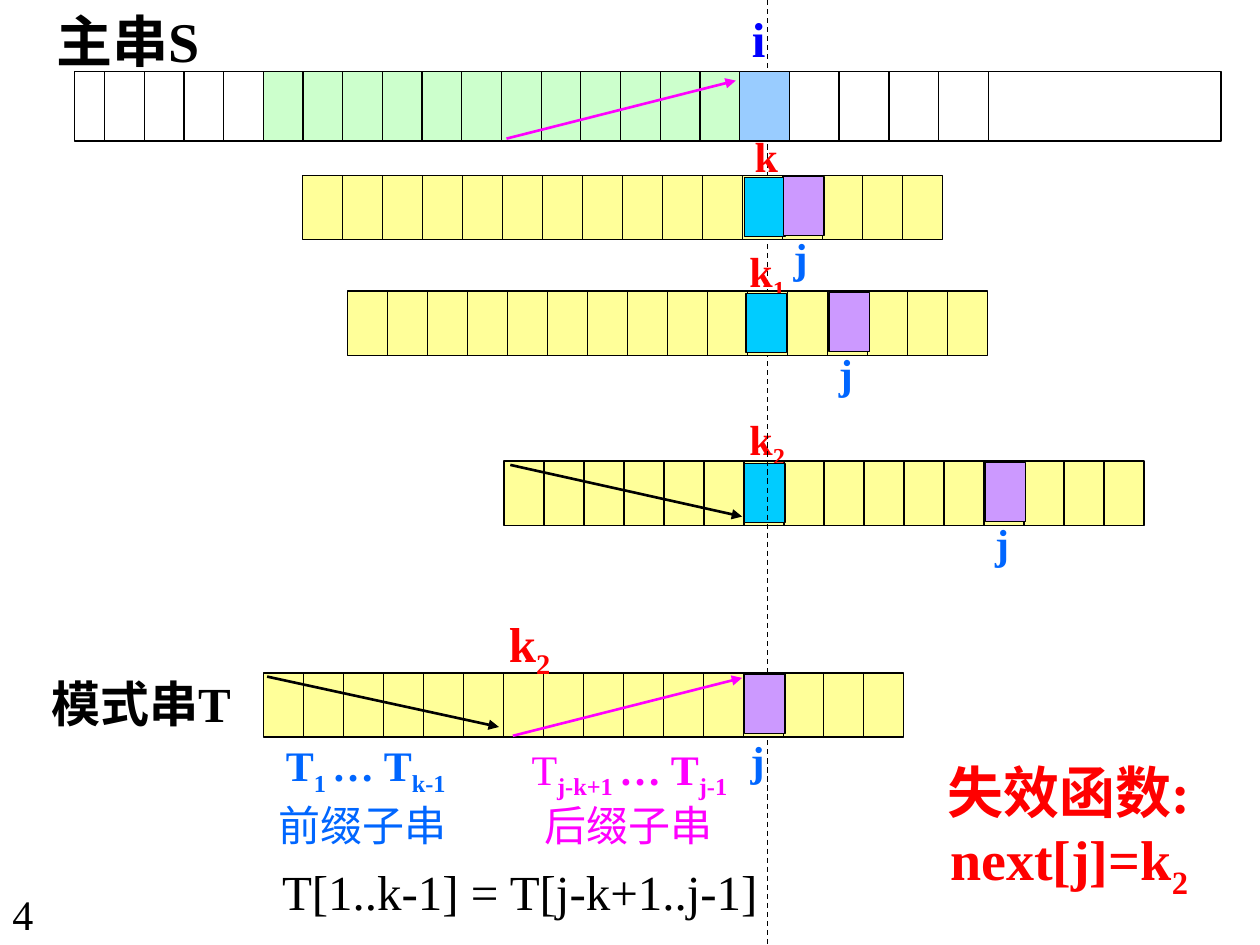
from lxml import etree
from pptx import Presentation
from pptx.dml.color import RGBColor
from pptx.enum import dml, shapes, text
from pptx.oxml import ns
from pptx.util import Inches, Pt

LATIN, CHINESE = "Times New Roman", "Noto Sans CJK SC"
BLACK, RED, BLUE, MAGENTA = "000000", "FF0000", "0066FF", "FF00FF"
YELLOW, CYAN, PURPLE = "FFFF99", "00CCFF", "CC99FF"
ROW_WIDTH, ROW_HEIGHT, CELL_COUNT, J_INDEX = 5.08, 0.51, 16, 12
PITCH = ROW_WIDTH / CELL_COUNT


def color(value):
    return RGBColor.from_string(value)


def add_box(parent, left, top, width, height, fill=None):
    shape = parent.add_shape(shapes.MSO_SHAPE.RECTANGLE, Inches(left), Inches(top),
                             Inches(width), Inches(height))
    shape.shadow.inherit = False
    if fill:
        shape.fill.solid()
        shape.fill.fore_color.rgb = color(fill)
    else:
        shape.fill.background()
    shape.line.color.rgb = color(BLACK)
    shape.line.width = Pt(0.75)


def add_line(parent, start, end, line_color=BLACK, width=0.75, dashed=False, arrow=False):
    line = parent.add_connector(shapes.MSO_CONNECTOR.STRAIGHT,
                                *(Inches(value) for value in (*start, *end)))
    line.line.color.rgb = color(line_color)
    line.line.width = Pt(width)
    if dashed:
        line.line.dash_style = dml.MSO_LINE.DASH
    if arrow:
        etree.SubElement(line.line._get_or_add_ln(), ns.qn("a:tailEnd"), type="triangle")
    etree.SubElement(line._element.spPr, ns.qn("a:effectLst"))


def add_dividers(parent, left, top, height, pitch, count):
    for index in range(count):
        x = left + index * pitch
        add_line(parent, (x, top), (x, top + height))


def add_text(parent, box, paragraphs, size, text_color, bold=True, align=None, font=LATIN):
    """Each paragraph lists its runs as strings; a leading underscore marks a subscript."""
    frame = parent.add_textbox(*(Inches(value) for value in box)).text_frame
    frame.word_wrap = True
    for index, runs in enumerate(paragraphs):
        paragraph = frame.add_paragraph() if index else frame.paragraphs[0]
        paragraph.alignment = align
        for content in runs:
            run = paragraph.add_run()
            run.text = content.removeprefix("_")
            run.font.name = font
            run.font.size = Pt(size)
            run.font.bold = bold
            run.font.color.rgb = color(text_color)
            properties = run.font._element
            if content.startswith("_"):
                properties.set("baseline", "-25000")
            east_asian = etree.Element(ns.qn("a:ea"), typeface=CHINESE)
            properties.find(ns.qn("a:latin")).addnext(east_asian)
    return frame


def add_pattern_cells(parent, left, top):
    add_box(parent, left, top, ROW_WIDTH, ROW_HEIGHT, YELLOW)
    add_dividers(parent, left, top, ROW_HEIGHT, PITCH, CELL_COUNT)


def add_j_cell(parent, left, top, label_offset):
    x = left + J_INDEX * PITCH
    add_text(parent, (x - 0.01 if label_offset < 0.43 else x - 0.04, top + label_offset,
                      0.74, 0.5), [["j"]], 24, BLUE)
    add_box(parent, x + 0.01, top + 0.01, 0.32, 0.47, PURPLE)


def add_shifted_row(slide, left, top, k_left, label, label_left, label_top):
    """A moved pattern row with its k cell and its j cell."""
    parent = slide.shapes.add_group_shape().shapes
    add_pattern_cells(parent, left, top)
    add_text(parent, (label_left, label_top, 0.74, 0.5), [label], 24, RED)
    add_box(parent, k_left, top + 0.02, 0.32, 0.47, CYAN)
    add_j_cell(parent, left, top, 0.4)


def add_main_string(slide, left, top):
    parent, height, wide = slide.shapes, 0.55, 0.395
    matched, current = left + 1.5, left + 5.28
    add_box(parent, matched, top, current - matched, height, "CCFFCC")
    add_box(parent, left, top, 9.1, height)
    add_text(parent, (current, top - 0.55, 0.74, 0.57), [["i"]], 28, "0000FF")
    add_dividers(parent, left + 0.24, top, height, 0.315, 16)
    add_box(parent, current, top, wide, height, "99CCFF")
    add_dividers(parent, current + 2 * wide, top, height, wide, 4)
    add_text(parent, (left - 0.24, top - 0.57, 1.89, 0.63), [["主串S"]], 32, BLACK)
    add_line(parent, (left + 3.43, top + 0.53), (left + 5.25, top + 0.07),
             MAGENTA, 1.5, arrow=True)


def add_pattern_string(slide, left, top):
    parent = slide.shapes
    add_pattern_cells(parent, left, top)
    add_j_cell(parent, left, top, 0.44)
    add_text(parent, (left - 1.78, top - 0.04, 1.89, 0.57), [["模式串T"]], 28, BLACK)
    add_text(parent, (left + 1.85, top - 0.52, 0.74, 0.57), [["k", "_2"]], 28, RED)
    add_line(parent, (left + 0.03, top + 0.03), (left + 1.87, top + 0.43),
             width=1.5, arrow=True)
    add_line(parent, (left + 1.98, top + 0.5), (left + 3.8, top + 0.04),
             MAGENTA, 1.5, arrow=True)
    add_text(parent, (left + 0.08, top + 0.48, 1.73, 0.5),
             [["T", "_1 ", "… T", "_k-1"]], 24, BLUE)
    suffix = add_text(parent, (left + 2.03, top + 0.51, 2.01, 0.5),
                      [["T", "_j-k+1 ", "… T", "_j-1"]], 24, MAGENTA)
    suffix.paragraphs[0].runs[0].font.bold = False
    for offset, name, name_color in ((0.02, "前缀子串", BLUE), (2.13, "后缀子串", MAGENTA)):
        add_text(parent, (left + offset, top + 0.96, 1.73, 0.5), [[name]], 24,
                 name_color, bold=False, font=CHINESE)


def add_conclusions(slide):
    add_text(slide.shapes, (2.14, 6.79, 4.57, 0.57), [["T[1..k-1] = T[j-k+1..j-1]"]],
             28, BLACK, bold=False)
    add_text(slide.shapes, (7.05, 5.96, 2.87, 1.18), [["失效函数:"], ["next[j]=k", "_2"]],
             32, RED, align=text.PP_ALIGN.CENTER)
    add_text(slide.shapes, (0, 7, 0.55, 0.5), [["4"]], 24, BLACK, bold=False)


def main():
    presentation = Presentation()
    presentation.slide_width, presentation.slide_height = Inches(10), Inches(7.5)
    slide = presentation.slides.add_slide(presentation.slide_layouts[6])
    add_shifted_row(slide, 4, 3.66, 5.91, ["k", "_2"], 5.85, 3.23)
    add_line(slide.shapes, (6.09, 0), (6.09, 7.5), dashed=True)
    add_shifted_row(slide, 2.76, 2.31, 5.92, ["k", "_1"], 5.85, 1.9)
    add_shifted_row(slide, 2.4, 1.39, 5.91, ["k"], 5.89, 0.99)
    add_main_string(slide, 0.59, 0.57)
    add_pattern_string(slide, 2.09, 5.34)
    add_line(slide.shapes, (4.05, 3.69), (5.89, 4.1), width=1.5, arrow=True)
    add_conclusions(slide)
    presentation.save("out.pptx")


if __name__ == "__main__":
    main()
